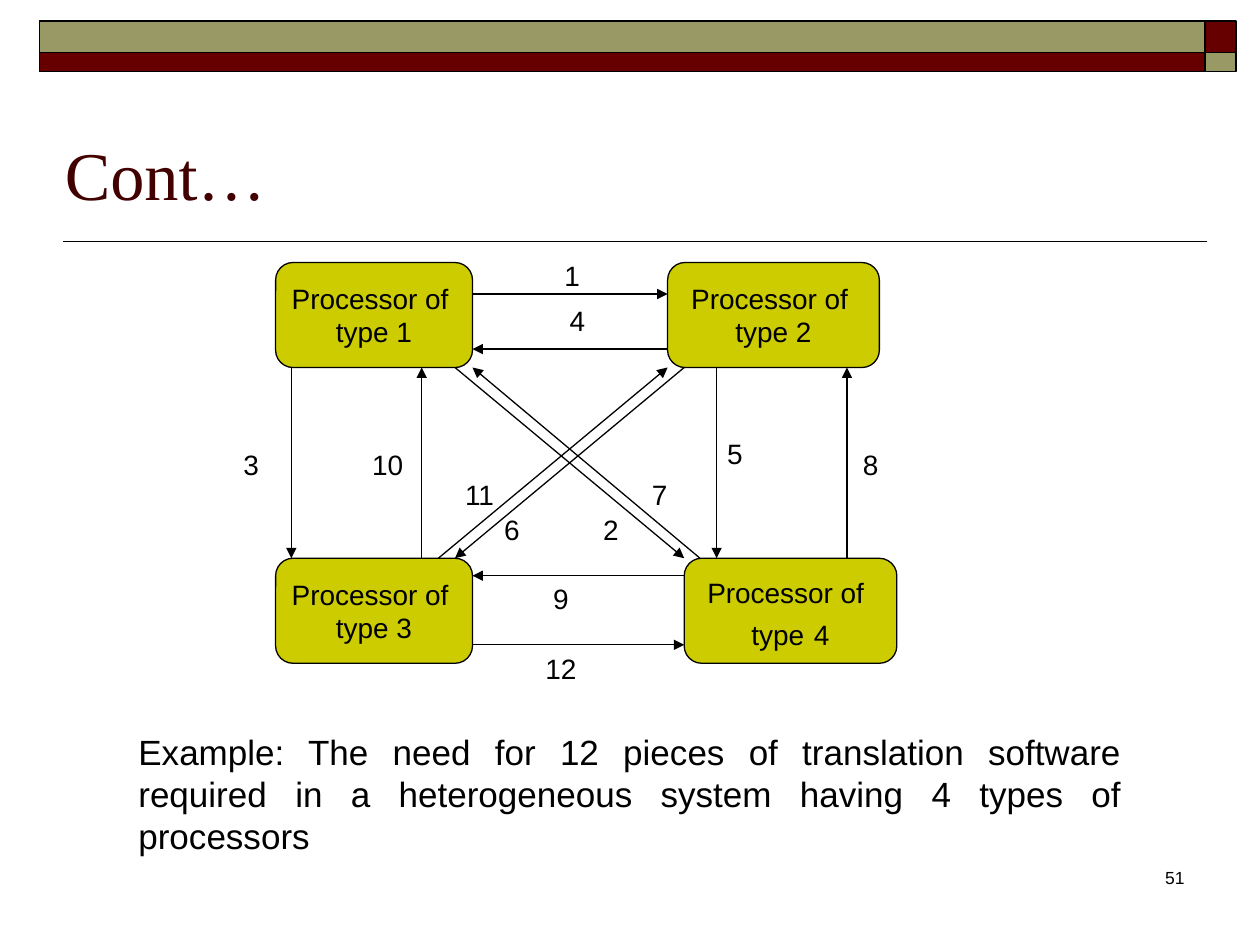
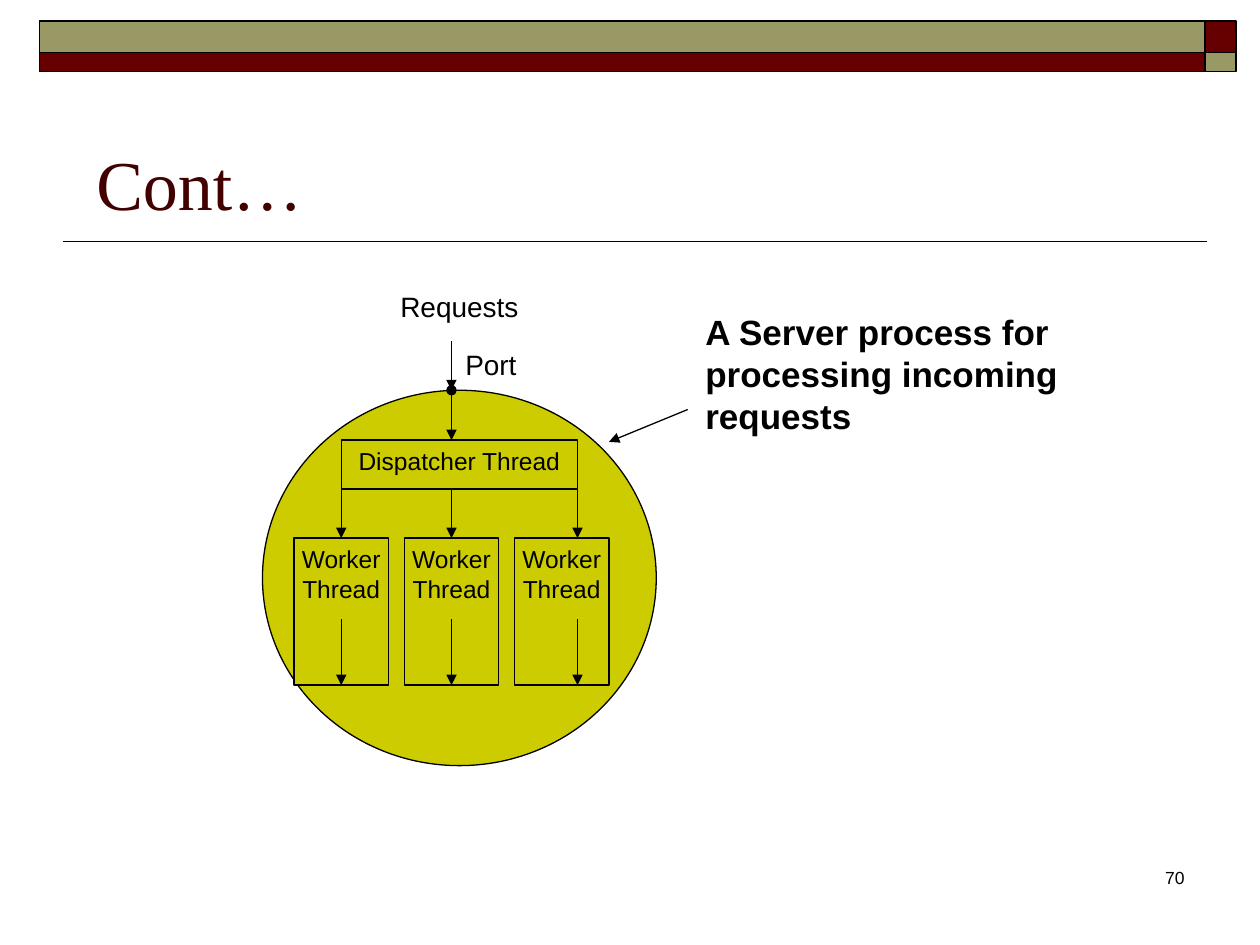
from pptx import Presentation
from pptx import util as u
from pptx.dml.color import RGBColor
from pptx.enum import shapes, text
from pptx.oxml.ns import qn
from lxml import etree

COLORS = {
    "ink": "000000",
    "title": "420000",
    "maroon": "660000",
    "olive": "999966",
    "node": "CCCC00",
}
KIND = shapes.MSO_SHAPE
ALIGN = text.PP_ALIGN
ANCHOR = text.MSO_ANCHOR
BODY = {"name": "Arial", "size": 16, "color": "ink"}
TITLE = {"name": "Times New Roman", "size": 40, "color": "title"}


def rgb(name):
    return RGBColor.from_string(COLORS[name])


def set_font(font, style):
    for key, value in style.items():
        if key == "color":
            font.color.rgb = rgb(value)
        else:
            setattr(font, key, u.Pt(value) if key == "size" else value)


def write(frame, paragraphs, style, align, frame_format):
    """Fill a text frame; a paragraph is a list of (text, size) spans."""
    for key, value in frame_format.items():
        setattr(frame, key, value)
    for index, spans in enumerate(paragraphs):
        para = frame.add_paragraph() if index else frame.paragraphs[0]
        para.alignment = align
        for words, size in spans:
            span = para.add_run()
            span.text = words
            set_font(span.font, {**style, "size": size})


def add_text(page, words, left, top, width, height, align=ALIGN.CENTER,
             style=None, **frame_format):
    box = page.shapes.add_textbox(*map(u.Pt, (left, top, width, height)))
    style = {**BODY, **(style or {})}
    write(box.text_frame, [[(words, style["size"])]], style, align,
          {"word_wrap": True, **frame_format})


def add_block(page, kind, left, top, width, height, fill="node", weight=0.75):
    block = page.shapes.add_shape(kind, *map(u.Pt, (left, top, width, height)))
    block.shadow.inherit = False
    block.fill.solid()
    block.fill.fore_color.rgb = rgb(fill)
    block.line.color.rgb = rgb("ink")
    block.line.width = u.Pt(weight)
    return block


def add_line(page, start, end, weight=0.75, **ends):
    """Draw a line; ends maps headEnd and tailEnd to arrowhead types."""
    line = page.shapes.add_connector(
        shapes.MSO_CONNECTOR.STRAIGHT, *map(u.Pt, (*start, *end)))
    line.line.color.rgb = rgb("ink")
    line.line.width = u.Pt(weight)
    properties = line._element.spPr
    for tag, shape in ends.items():
        etree.SubElement(properties.find(qn("a:ln")), qn(f"a:{tag}"), type=shape)
    etree.SubElement(properties, qn("a:effectLst"))


def add_arrow(page, start, end, **ends):
    add_line(page, start, end, **ends, tailEnd="triangle")


def add_page(deck, number, title_area, title_size):
    """Add a slide with the shared bands, rule, slide number and title."""
    page = deck.slides.add_slide(deck.slide_layouts[6])
    add_line(page, (690, 138), (36, 138), weight=1)
    bands = [(688.5, 12, 18, 18, "maroon"), (22.5, 12, 666, 18, "olive"),
             (22.5, 30, 666, 11, "maroon"), (688.5, 30, 18, 11, "olive")]
    for *area, fill in bands:
        add_block(page, KIND.RECTANGLE, *area, fill=fill, weight=1)
    add_text(page, number, 534, 492, 150, 36, ALIGN.RIGHT, {"size": 10})
    add_text(page, "Cont…", *title_area, ALIGN.LEFT,
             {**TITLE, "size": title_size}, vertical_anchor=ANCHOR.BOTTOM)
    return page


def add_processor(page, left, top, width, lines):
    block = add_block(page, KIND.FLOWCHART_ALTERNATE_PROCESS,
                      left, top, width, 60)
    write(block.text_frame, lines, BODY, ALIGN.CENTER,
          {"word_wrap": False, "vertical_anchor": ANCHOR.MIDDLE})


def build_translation_page(deck):
    page = add_page(deck, "51", (30, 48, 654, 78), 39)
    upper, lower = 150, 319
    bottom = upper + 60
    processors = [(157.5, upper, 112.5), (381.5, upper, 121),
                  (157.5, lower, 112.5), (391, lower, 121.5)]
    for number, area in enumerate(processors, 1):
        lines = [[("Processor of ", 16)], [(f"type {number}", 16)]]
        if number == 4:
            lines = [[("Processor of", 16), (" ", 20)],
                     [("type", 16), (" ", 20), ("4", 16)]]
        add_processor(page, *area, lines)

    arrows = [
        ((166.5, bottom), (166.5, lower)), ((241, lower), (241, bottom)),
        ((270, 168), (381.5, 168)), ((381.5, 199.5), (270, 199.5)),
        ((391, 329), (270, 329)), ((270, 368.5), (391, 368.5)),
        ((409.5, bottom), (409.5, lower)), ((484, lower), (484, bottom)),
        ((250.5, lower), (381.5, bottom)), ((391, bottom), (260, lower)),
        ((260, bottom), (391, lower)), ((400, lower), (270, bottom)),
    ]
    for start, end in arrows:
        add_arrow(page, start, end)

    label_centers = {
        "1": (327, 144), "4": (330, 170), "10": (221.5, 252), "3": (143.5, 252),
        "9": (320.5, 329), "12": (320.5, 368.5), "5": (420, 246),
        "8": (497.5, 252), "7": (377, 269.5), "2": (349, 289.5),
        "11": (274, 269.5), "6": (292.5, 289.5),
    }
    for label, (center, top) in label_centers.items():
        add_text(page, label, center - 23, top, 46, 26.5)
    add_text(page, "Example: The need for 12 pieces of translation software "
             "required in a heterogeneous system having 4 types of processors",
             72, 414, 576, 79, ALIGN.JUSTIFY, {"size": 20})


def build_server_page(deck):
    page = add_page(deck, "70", (48, 72, 648, 60), 40)
    port_x, port_y = 258, 223
    dispatcher_top, dispatcher_bottom = 251.5, 279.5
    worker_top, worker_bottom = 307.5, 391.5
    worker_lefts = [168 + 63 * i for i in range(3)]
    thread_xs = (195, port_x, 330)

    add_block(page, KIND.OVAL, 150, port_y, 225, 214.5)
    add_block(page, KIND.RECTANGLE, 195, dispatcher_top, 135,
              dispatcher_bottom - dispatcher_top)
    for left in worker_lefts:
        add_block(page, KIND.RECTANGLE, left, worker_top, 54,
                  worker_bottom - worker_top)
    for x in thread_xs:
        add_arrow(page, (x, dispatcher_bottom), (x, worker_top))
        add_arrow(page, (x, 354), (x, worker_bottom))
    add_arrow(page, (port_x, 195), (port_x, port_y))
    add_arrow(page, (port_x, port_y), (port_x, dispatcher_top), headEnd="oval")

    small = {"size": 14}
    add_text(page, "Dispatcher Thread", 195, dispatcher_top, 135, 24.5,
             style=small)
    for left in worker_lefts:
        add_text(page, "Worker Thread", left - 9, worker_top, 72, 41,
                 style=small)
    add_text(page, "Port", 249, 195, 63, 26.5)
    add_text(page, "Requests", 222, 162, 81, 26.5,
             margin_left=0, margin_right=0)
    add_arrow(page, (393, 234), (348, 252.5))
    add_text(page, "A Server process for processing incoming requests",
             396, 174, 282, 79, ALIGN.LEFT, {"size": 20, "bold": True})


def main():
    deck = Presentation()
    deck.slide_width, deck.slide_height = u.Pt(720), u.Pt(540)
    build_translation_page(deck)
    build_server_page(deck)
    deck.save("out.pptx")


if __name__ == "__main__":
    main()
